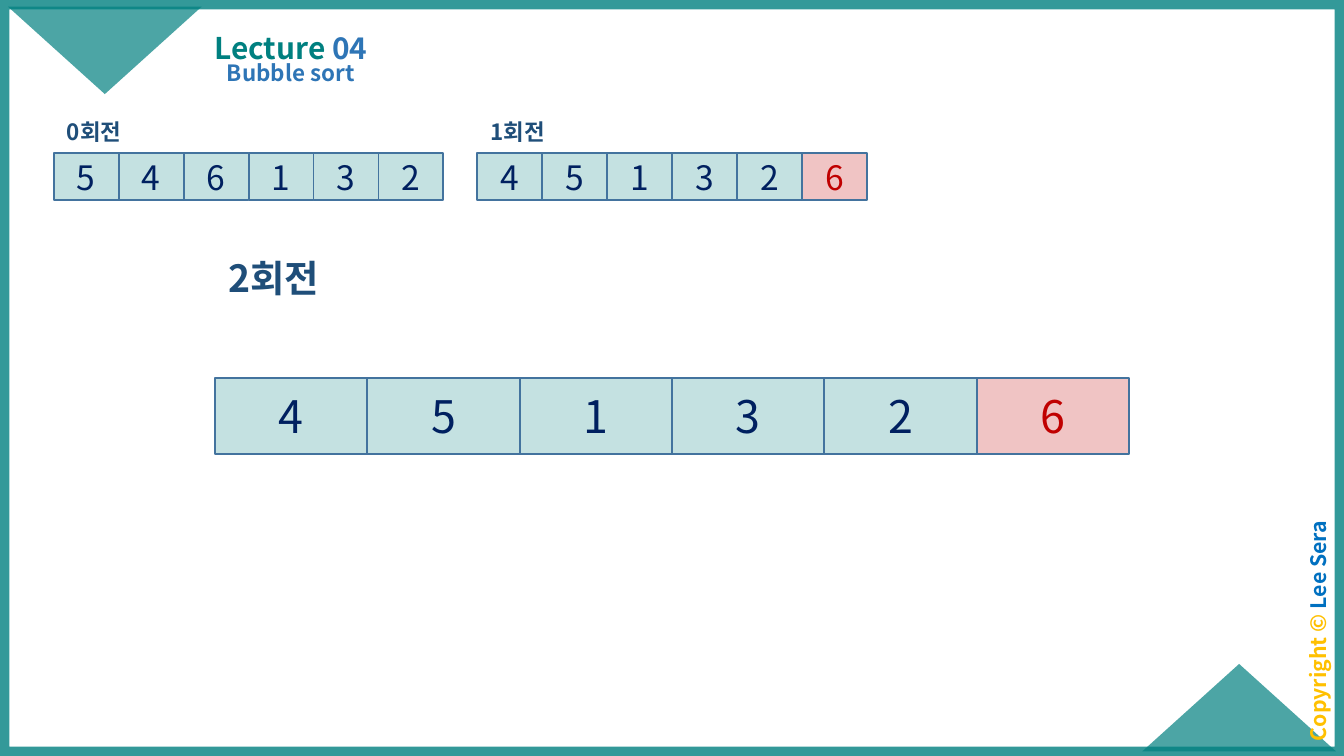
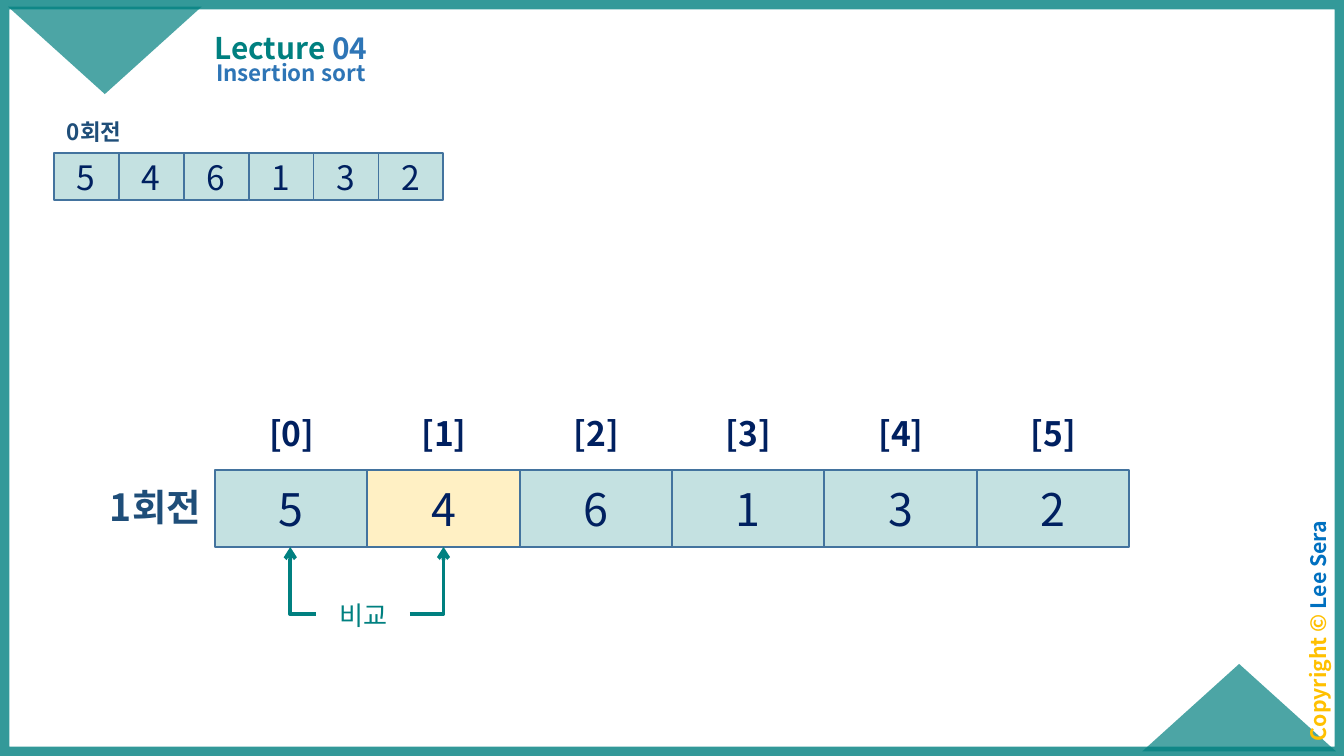
from pptx import Presentation
from pptx.dml.color import RGBColor as Rgb
from pptx.enum.shapes import MSO_CONNECTOR as Link, MSO_SHAPE as Kind
from pptx.enum.text import MSO_ANCHOR as Anchor, MSO_AUTO_SIZE as Fit, PP_ALIGN as Align
from pptx.oxml.ns import qn
from pptx.util import Inches, Pt
from lxml.etree import SubElement as Sub

FONT = "Noto Sans CJK KR"
HUES = {"teal": "008080", "blue": "2E75B6", "navy": "002060", "edge": "43739E",
        "label": "1F4E79", "red": "C00000", "gold": "FFC000", "name": "0070C0"}
PAGE = (10, 10 * 9 / 16)
LEFT, WIDE, HIGH = 1.6, 6.8, 0.57
PAD = (0.07, 0.04)


def hue(key):
    return Rgb.from_string(HUES[key])


def fade(shape, rate):
    for tint in shape._element.spPr.iter(qn("a:srgbClr")):
        Sub(tint, qn("a:alpha"), val=str(rate * 1000))


def write(frame, runs, size, bold=False, align=Align.CENTER, pad=None, lead=None, above=None):
    frame.word_wrap = True
    if pad:
        frame.margin_left = frame.margin_right = Inches(pad[0])
        frame.margin_top = frame.margin_bottom = Inches(pad[1])
    para = frame.paragraphs[0]
    para.alignment = align
    if lead:
        para.line_spacing = lead
    if above:
        para.space_before = Pt(above)
    for text, key in runs:
        run = para.add_run()
        run.text = text
        font = run.font
        font.name, font.size, font.bold = FONT, Pt(size), bold
        font.color.rgb = hue(key)
        Sub(font._element, qn("a:ea"), typeface=FONT)


def add_text(shapes, box, runs, size, grow=True, **style):
    item = shapes.add_textbox(*map(Inches, box))
    write(item.text_frame, runs, size, **style)
    item.text_frame.auto_size = Fit.SHAPE_TO_FIT_TEXT if grow else Fit.NONE
    return item


def add_shape(shapes, kind, box, key=None, rate=100):
    item = shapes.add_shape(kind, *map(Inches, box))
    item.shadow.inherit = False
    if key:
        item.fill.solid()
        item.fill.fore_color.rgb = hue(key)
        fade(item, rate)
    else:
        item.fill.background()
    item.line.fill.background()
    return item


def add_line(item, key, width):
    item.line.color.rgb = hue(key)
    item.line.width = Pt(width)


def add_row(shapes, left, top, wide, high, digits, size, marks=None):
    step = wide / len(digits)
    for spot, digit in enumerate(digits):
        key, ink = (marks or {}).get(spot, ("teal", "navy"))
        cell = add_shape(shapes, Kind.RECTANGLE, (left + spot * step, top, step, high), key, 23)
        add_line(cell, "edge", 1)
        cell.text_frame.vertical_anchor = Anchor.MIDDLE
        write(cell.text_frame, [(digit, ink)], size)


def add_label(shapes, left, top, high, text, size):
    add_text(shapes, (left, top, 1.57, high), [(text, "label")], size,
             bold=True, align=Align.LEFT)


def add_turn(slide, left, text, digits, marks=None):
    shapes = slide.shapes.add_group_shape().shapes
    add_row(shapes, left, 1.14, 2.9, 0.35, digits, 18, marks)
    add_label(shapes, left, 0.83, 0.3, text, 12)


def add_bend(shapes, start, end, turn=0):
    bend = shapes.add_connector(Link.ELBOW, *map(Inches, start + end))
    add_line(bend, "teal", 2)
    props = bend._element.spPr
    props.find(qn("a:prstGeom")).set("prst", "bentConnector2")
    if turn:
        props.find(qn("a:xfrm")).set("rot", str(turn * 60000))
    Sub(props.find(qn("a:ln")), qn("a:tailEnd"), type="arrow")
    Sub(props, qn("a:effectLst"))


def add_match(slide):
    shapes = slide.shapes.add_group_shape().shapes
    add_bend(shapes, (2.16, 4.07), (2.35, 4.57), 180)
    add_text(shapes, (2.35, 4.41, 0.71, 0.34), [("비교", "teal")], 14)
    add_bend(shapes, (3.05, 4.57), (3.3, 4.07))


def add_slide(deck, topic):
    slide = deck.slides.add_slide(deck.slide_layouts[5])
    shapes = slide.shapes
    rim = add_shape(shapes, Kind.RECTANGLE, (0, 0, *PAGE))
    add_line(rim, "teal", 10)
    fade(rim, 80)
    for left, top, turn in ((8.5, 4.94, 0), (0.06, 0.05, 180)):
        peak = add_shape(shapes, Kind.ISOSCELES_TRIANGLE, (left, top, 1.44, 0.65), "teal", 70)
        peak.rotation = turn
    note = add_text(shapes, (8.92, 4.57, 1.86, 0.25),
                    [("Copyright © ", "gold"), ("Lee Sera", "name")], 11.4,
                    grow=False, bold=True, pad=PAD, lead=0.7, above=10)
    note.rotation = 270
    title = shapes.title
    title.left, title.top, title.width, title.height = map(Inches, (1.4, 0.06, 1.53, 0.47))
    frame = title.text_frame
    frame.auto_size = Fit.NONE
    frame.vertical_anchor = Anchor.BOTTOM
    write(frame, [("Lecture ", "teal"), ("04", "blue")], 16, bold=True, pad=PAD, lead=0.9)
    add_text(shapes, (1.1, 0.42, 2.13, 0.34), [(topic, "blue")], 12,
             grow=False, bold=True, pad=PAD, lead=0.9, above=7.5)
    return slide


def add_bubble(deck):
    slide = add_slide(deck, "Bubble sort")
    done = {5: ("red", "red")}
    add_row(slide.shapes, LEFT, 2.81, WIDE, HIGH, "451326", 24, done)
    add_label(slide.shapes, LEFT, 1.85, 0.44, "2회전", 20)
    add_turn(slide, 3.55, "1회전", "451326", done)
    add_turn(slide, 0.4, "0회전", "546132")


def add_insert(deck):
    slide = add_slide(deck, "Insertion sort")
    shapes = slide.shapes
    digits = "546132"
    add_row(shapes, LEFT, 3.5, WIDE, HIGH, digits, 24, {1: ("gold", "navy")})
    add_turn(slide, 0.4, "0회전", digits)
    add_label(shapes, 0.72, 3.55, 0.44, "1회전", 20)
    step = WIDE / len(digits)
    for spot in range(len(digits)):
        add_text(shapes, (LEFT + 0.01 + spot * step, 3.02, 1.12, 0.4),
                 [(f"[{spot}]", "navy")], 18, bold=True)
    add_match(slide)


def main():
    deck = Presentation()
    deck.slide_width, deck.slide_height = map(Inches, PAGE)
    add_bubble(deck)
    add_insert(deck)
    deck.save("out.pptx")


if __name__ == "__main__":
    main()
